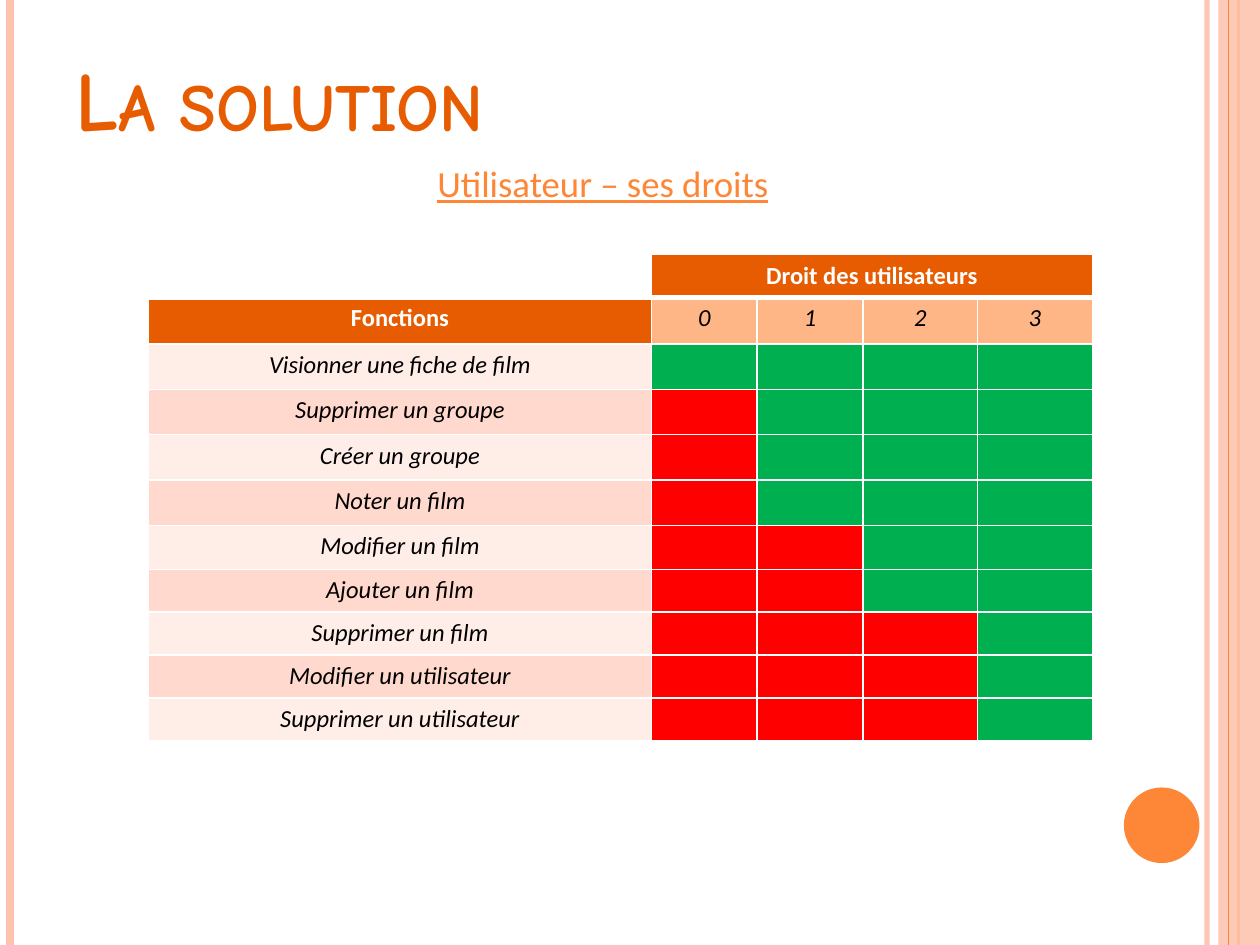
from dataclasses import dataclass

from lxml.etree import SubElement
from pptx import Presentation
from pptx.dml.color import RGBColor
from pptx.enum.shapes import MSO_CONNECTOR, MSO_SHAPE
from pptx.enum.text import MSO_ANCHOR, PP_ALIGN
from pptx.oxml.ns import qn
from pptx.util import Inches, Pt

TITLE = "La solution"
SUBTITLE = "Utilisateur – ses droits"
RIGHTS_HEADER = "Droit des utilisateurs"
FUNCTIONS_HEADER = "Fonctions"
LEVELS = ["0", "1", "2", "3"]
# Function and the lowest user level that may use it
FUNCTIONS = [
    ("Visionner une fiche de film", 0),
    ("Supprimer un groupe", 1),
    ("Créer un groupe", 1),
    ("Noter un film", 1),
    ("Modifier un film", 2),
    ("Ajouter un film", 2),
    ("Supprimer un film", 3),
    ("Modifier un utilisateur", 3),
    ("Supprimer un utilisateur", 3),
]
COLUMNS = [3.99, 0.84, 0.84, 0.91, 0.91]
ROWS = [0.34, 0.37] + [0.36] * 4 + [0.35] + [0.34] * 4
W, H = 10, 7.5
MARGIN, CONTENT_W = 0.5, 8.17


@dataclass(frozen=True)
class Theme:
    dark: str = "E75C01"
    accent: str = "FE8637"
    level: str = "FEB687"
    stripe: str = "FEC3AE"
    bands: tuple = ("FFEDE8", "FFD9CE")
    allowed: str = "00B050"
    denied: str = "FF0000"
    white: str = "FFFFFF"
    black: str = "000000"
    title_font: str = "Comic Neue"
    body_font: str = "Calibri"
    title_size: int = 48
    subtitle_size: int = 21
    table_size: int = 14


T = Theme()
# x, colour, width in points, opacity in percent
BACK_LINES = [(9.58, T.stripe, 3, 93), (0.08, T.stripe, 4.5, 100), (9.83, T.accent, 1.5, 100)]
FRONT_LINES = [(9.75, T.accent, 0.75, 100)]


def set_fill(fill, color, opacity=100):
    fill.solid()
    fill.fore_color.rgb = RGBColor.from_string(color)
    if opacity < 100:
        clr = fill._xPr.find(qn("a:solidFill"))[0]
        SubElement(clr, qn("a:alpha"), val=str(opacity * 1000))


def add_run(p, text, font, size, color, bold=False, italic=False):
    r = p.add_run()
    r.text = text
    f = r.font
    f.name, f.size, f.bold, f.italic = font, Pt(size), bold, italic
    f.color.rgb = RGBColor.from_string(color)
    return r


def add_stripes(s, stripes):
    for x, color, width, opacity in stripes:
        line = s.shapes.add_connector(
            MSO_CONNECTOR.STRAIGHT, Inches(x), 0, Inches(x), Inches(H))
        line.line.width = Pt(width)
        set_fill(line.line.fill, color, opacity)
        SubElement(line._element.spPr, qn("a:effectLst"))


def add_plain_shape(s, kind, box, color, opacity=100):
    sp = s.shapes.add_shape(kind, *map(Inches, box))
    sp.shadow.inherit = False
    set_fill(sp.fill, color, opacity)
    sp.line.fill.background()


def set_cell(cell, fill, text="", color=T.black, bold=False, italic=False, bottom=1):
    """Fill and border a cell; an empty one keeps the table's type size."""
    tcPr = cell._tc.get_or_add_tcPr()
    for side, width in (("L", 1), ("R", 1), ("T", 1), ("B", bottom)):
        ln = SubElement(tcPr, qn(f"a:ln{side}"), w=str(Pt(width)))
        SubElement(SubElement(ln, qn("a:solidFill")), qn("a:srgbClr"), val=T.white)
    set_fill(cell.fill, fill)
    p = cell.text_frame.paragraphs[0]
    p.alignment = PP_ALIGN.CENTER
    if text:
        add_run(p, text, T.body_font, T.table_size, color, bold, italic)
    else:
        p._p.get_or_add_endParaRPr().set("sz", str(T.table_size * 100))


def add_rights_table(s):
    table = s.shapes.add_table(
        len(ROWS), len(COLUMNS), Inches(1.18), Inches(2.02),
        Inches(sum(COLUMNS)), Inches(sum(ROWS))).table
    for column, width in zip(table.columns, COLUMNS):
        column.width = Inches(width)
    for row, height in zip(table.rows, ROWS):
        row.height = Inches(height)

    table.cell(0, 1).merge(table.cell(0, len(LEVELS)))
    set_cell(table.cell(0, 0), T.white, bottom=3)
    for c in range(1, len(COLUMNS)):
        set_cell(table.cell(0, c), T.dark, RIGHTS_HEADER if c == 1 else "",
                 T.white, bold=True, bottom=3)
    set_cell(table.cell(1, 0), T.dark, FUNCTIONS_HEADER, T.white, bold=True)
    for c, level in enumerate(LEVELS, 1):
        set_cell(table.cell(1, c), T.level, level, italic=True)
    for i, (name, lowest) in enumerate(FUNCTIONS):
        set_cell(table.cell(i + 2, 0), T.bands[i % 2], name, italic=True)
        for level in range(len(LEVELS)):
            set_cell(table.cell(i + 2, level + 1),
                     T.allowed if level >= lowest else T.denied)


def add_title(s):
    title = s.shapes.title
    title.left, title.top = Inches(MARGIN), Inches(0.3)
    title.width, title.height = Inches(CONTENT_W), Inches(0.93)
    tf = title.text_frame
    tf.vertical_anchor = MSO_ANCHOR.BOTTOM
    p = tf.paragraphs[0]
    p.alignment = PP_ALIGN.LEFT
    r = add_run(p, TITLE, T.title_font, T.title_size, T.dark, bold=True)
    r.font._element.set("cap", "small")


def add_subtitle(s):
    box = s.shapes.add_textbox(
        Inches(MARGIN), Inches(1.23), Inches(CONTENT_W), Inches(5.85))
    tf = box.text_frame
    tf.word_wrap = True
    p = tf.paragraphs[0]
    p.alignment = PP_ALIGN.CENTER
    p.space_before = Pt(0.2 * T.subtitle_size)
    p._p.get_or_add_pPr().set("marL", str(Inches(0.4)))
    r = add_run(p, SUBTITLE, T.body_font, T.subtitle_size, T.accent)
    r.font.underline = True


def main():
    prs = Presentation()
    prs.slide_width, prs.slide_height = Inches(W), Inches(H)
    s = prs.slides.add_slide(prs.slide_layouts[5])
    add_stripes(s, BACK_LINES)
    add_plain_shape(s, MSO_SHAPE.RECTANGLE, (9.67, 0, 0.33, H), T.stripe, 87)
    add_stripes(s, FRONT_LINES)
    add_plain_shape(s, MSO_SHAPE.OVAL, (8.92, 6.25, 0.6, 0.6), T.accent)
    add_subtitle(s)
    add_title(s)
    add_rights_table(s)
    prs.save("out.pptx")


if __name__ == "__main__":
    main()
